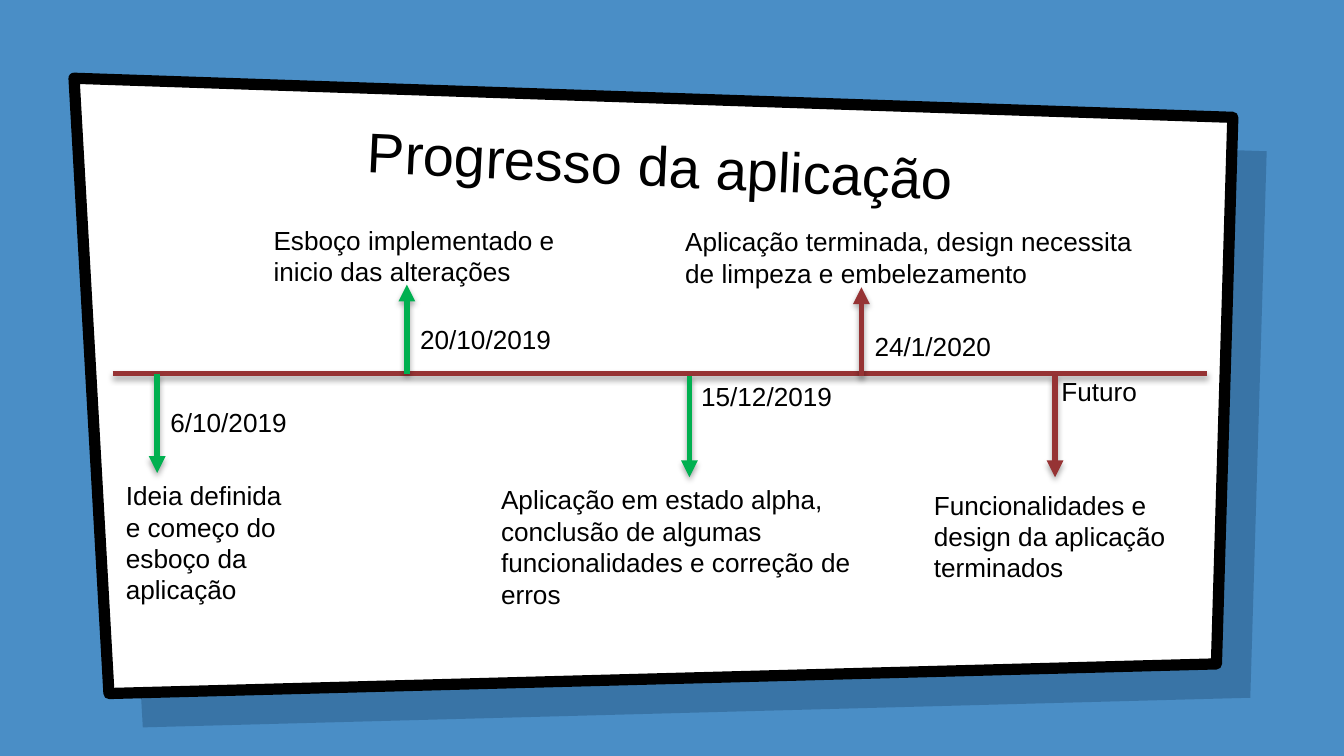
from lxml import etree
from pptx import Presentation
from pptx.dml.color import RGBColor
from pptx.enum import shapes, text
from pptx.oxml import ns
from pptx.util import Cm, Pt

BLUE = RGBColor(0x4A, 0x8E, 0xC6)
NAVY = RGBColor(0x00, 0x19, 0x36)
WHITE = RGBColor(0xFF, 0xFF, 0xFF)
BLACK = RGBColor(0x00, 0x00, 0x00)
GREEN = RGBColor(0x00, 0xB0, 0x50)
RED = RGBColor(0x96, 0x33, 0x34)

# x, arrow start, arrow end, colour, (date, dx, dy, width), (note, dx, dy, width)
EVENTS = [
    (0.84, 0, 1.88, GREEN, ("6/10/2019", 0, 0.5, 2.77),
     ("Ideia definida e começo do esboço da aplicação", -0.84, 1.88, 3.63)),
    (5.56, 0, -1.68, GREEN, ("20/10/2019", 0, -1.07, 3.02),
     ("Esboço implementado e inicio das alterações", -2.77, -2.95, 6.43)),
    (10.9, 0.05, 1.96, GREEN, ("15/12/2019", -0.03, 0, 3.02),
     ("Aplicação em estado alpha, conclusão de algumas funcionalidades "
      "e correção de erros", -3.81, 1.96, 8.18)),
    (14.15, 0.05, -1.63, RED, ("24/1/2020", 0, -0.94, 3.02),
     ("Aplicação terminada, design necessita de limpeza e embelezamento",
      -3.58, -2.92, 8.99)),
    (17.81, 0.05, 1.96, RED, ("Futuro", -0.13, -0.08, 3.02),
     ("Funcionalidades e design da aplicação terminados", -2.54, 2.06, 5.41)),
]


def add(parent, tag, **attrs):
    """Append a DrawingML child element."""
    return etree.SubElement(parent, ns.qn(tag), attrs)


def style(par, size):
    """Set the common font of a paragraph."""
    par.font.name = "Arial"
    par.font.size = Pt(size)
    par.font.color.rgb = BLACK


def panel(slide, left, top, fill):
    """Draw one skewed panel from its top left corner."""
    pts = [(0, 0), (21.9, 0.74), (21.59, 11.07), (0.66, 11.63)]
    pts = [(Cm(left + x), Cm(top + y)) for x, y in pts]
    form = slide.shapes.build_freeform(*pts[0])
    form.add_line_segments(pts[1:], close=True)
    shape = form.convert_to_shape()
    shape.shadow.inherit = False
    shape.fill.solid()
    shape.fill.fore_color.rgb = fill
    return shape


def card(slide, left, top):
    """Draw the white card over its offset translucent shade."""
    shade = panel(slide, left + 0.64, top + 0.64, NAVY)
    shade.line.fill.background()
    color = shade.fill._xPr.find(".//" + ns.qn("a:srgbClr"))
    add(color, "a:alpha", val="22000")
    front = panel(slide, left, top, WHITE)
    front.line.color.rgb = BLACK
    front.line.width = Pt(6)


def heading(slide, left, top, width, height):
    """Place the tilted title above the card."""
    title = slide.shapes.title
    slide.shapes._spTree.append(title._element)
    title.left, title.top = Cm(left), Cm(top)
    title.width, title.height = Cm(width), Cm(height)
    title.rotation = 2.7
    frame = title.text_frame
    frame.text = "Progresso da aplicação"
    frame.vertical_anchor = text.MSO_ANCHOR.BOTTOM
    frame.auto_size = text.MSO_AUTO_SIZE.NONE
    frame.margin_left = frame.margin_right = Cm(0.25)
    frame.margin_top = frame.margin_bottom = Cm(0.25)
    par = frame.paragraphs[0]
    par.alignment = text.PP_ALIGN.CENTER
    style(par, 30)


def rule(slide, start, end, color, arrow=False):
    """Draw a shadowed line, with an arrowhead if asked."""
    line = slide.shapes.add_connector(
        shapes.MSO_CONNECTOR.STRAIGHT, *map(Cm, start + end))
    line.line.color.rgb = color
    line.line.width = Pt(3)
    if arrow:
        add(line.line._get_or_add_ln(), "a:tailEnd", type="triangle")
    effects = add(line._element.spPr, "a:effectLst")
    shadow = add(effects, "a:outerShdw", blurRad="40000", dist="23000",
                 dir="5400000", rotWithShape="0")
    add(add(shadow, "a:srgbClr", val=str(BLACK)), "a:alpha", val="35000")


def label(slide, left, top, width, words, lines):
    """Write a wrapped label of the given line count."""
    box = slide.shapes.add_textbox(
        Cm(left), Cm(top), Cm(width), Cm(0.27 + 0.59 * lines))
    frame = box.text_frame
    frame.word_wrap = True
    frame.auto_size = text.MSO_AUTO_SIZE.SHAPE_TO_FIT_TEXT
    frame.text = words
    style(frame.paragraphs[0], 14)


def timeline(slide, left, mid, width):
    """Draw the axis and every event relative to its left end."""
    rule(slide, (left, mid), (left + width, mid), RED)
    for (x, start, end, color, date, note), rows in zip(EVENTS, (4, 2, 4, 2, 3)):
        x += left
        rule(slide, (x, mid + start), (x, mid + end), color, arrow=True)
        for (words, dx, dy, wide), lines in ((date, 1), (note, rows)):
            label(slide, x + dx, mid + dy, wide, words, lines)


def main():
    """Build and save the slide."""
    deck = Presentation()
    deck.slide_width, deck.slide_height = Cm(25.4), Cm(14.29)
    slide = deck.slides.add_slide(deck.slide_layouts[5])
    slide.background.fill.solid()
    slide.background.fill.fore_color.rgb = BLUE
    card(slide, 1.4, 1.48)
    heading(slide, 2.72, 1.88, 19.53, 2.11)
    timeline(slide, 2.13, 7.06, 20.68)
    deck.save("out.pptx")


main()
